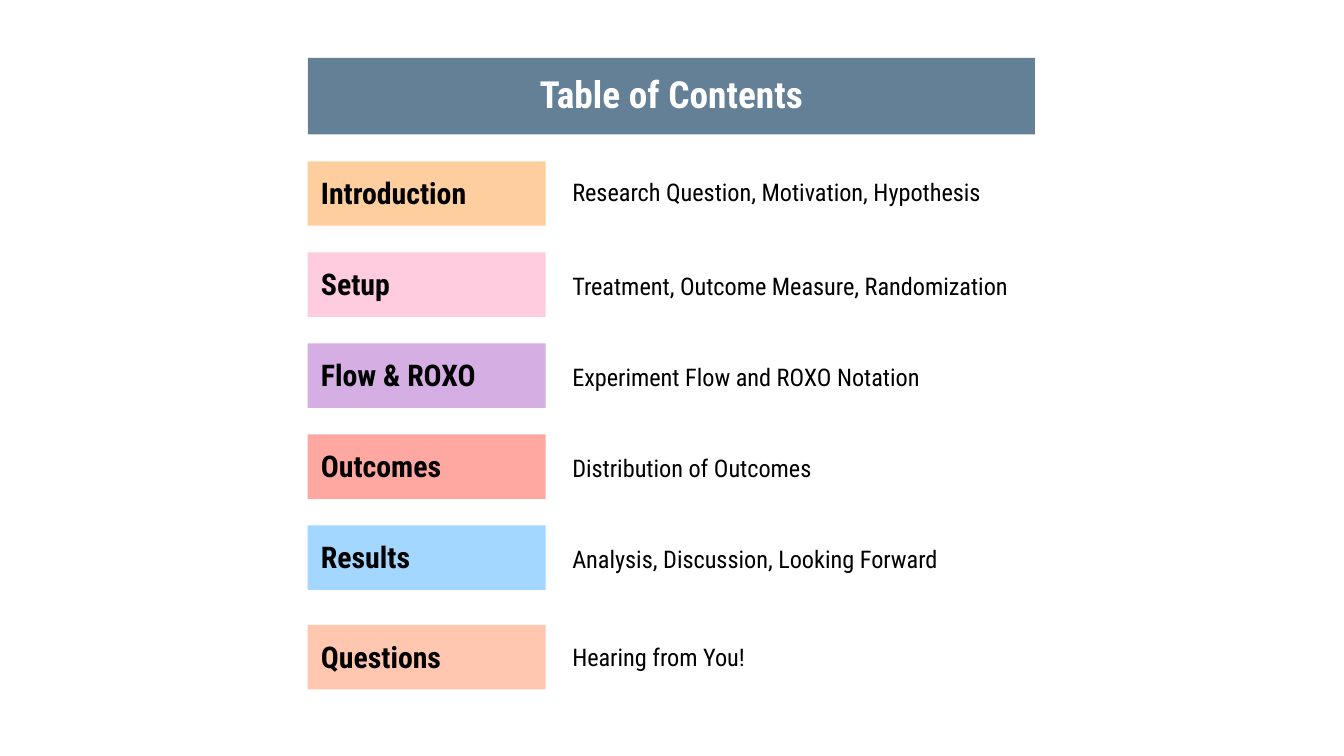
from dataclasses import dataclass

from pptx import Presentation
from pptx.dml.color import RGBColor
from pptx.enum import shapes, text
from pptx.slide import Slide
from pptx.text.text import TextFrame
from pptx.util import Inches, Pt

FONT = "Roboto Condensed"
COLORS = {
    "banner": "638097",
    "white": "FFFFFF",
    "black": "000000",
    "orange": "FFCE9E",
    "pink": "FFCBDE",
    "purple": "D5AEE4",
    "red": "FFA7A1",
    "blue": "A3D7FF",
    "peach": "FFC7AF",
}

LEFT = 2.29
LABEL_WIDTH, LABEL_HEIGHT = 1.77, 0.48
DETAIL_LEFT, DETAIL_HEIGHT = 4.16, 0.4
FIRST_TOP, FIFTH_TOP, QUESTIONS_TOP = 1.2, 3.91, 4.65
PITCH = (FIFTH_TOP - FIRST_TOP) / 4


@dataclass
class Section:
    label: str
    detail: str
    color: str
    detail_drop: float = 0.04
    detail_width: float = 4.25


SECTIONS = [
    Section("Introduction", "Research Question, Motivation, Hypothesis", "orange", 0.02, 3.98),
    Section("Setup", "Treatment, Outcome Measure, Randomization", "pink"),
    Section("Flow & ROXO", "Experiment Flow and ROXO Notation", "purple"),
    Section("Outcomes", "Distribution of Outcomes", "red"),
    Section("Results", "Analysis, Discussion, Looking Forward", "blue"),
    Section("Questions", "Hearing from You!", "peach", 0.03),
]


def rgb(name: str) -> RGBColor:
    return RGBColor.from_string(COLORS[name])


def write(
    frame: TextFrame,
    words: str,
    size: int,
    color: str = "black",
    bold: bool = False,
    align: text.PP_ALIGN = text.PP_ALIGN.LEFT,
) -> None:
    frame.word_wrap = True
    frame.auto_size = text.MSO_AUTO_SIZE.NONE
    frame.vertical_anchor = text.MSO_ANCHOR.TOP
    frame.margin_left = frame.margin_right = Inches(0.1)
    frame.margin_top = frame.margin_bottom = Inches(0.1)
    paragraph = frame.paragraphs[0]
    paragraph.text = words
    paragraph.alignment = align
    paragraph.font.name = FONT
    paragraph.font.size = Pt(size)
    paragraph.font.bold = bold
    paragraph.font.color.rgb = rgb(color)


def add_title(page: Slide) -> None:
    title = page.shapes.title
    title.left, title.top = Inches(LEFT), Inches(0.43)
    title.width, title.height = Inches(5.41), Inches(0.57)
    title.fill.solid()
    title.fill.fore_color.rgb = rgb("banner")
    write(title.text_frame, "Table of Contents", 20, "white", True, text.PP_ALIGN.CENTER)


def add_section(page: Slide, section: Section, top: float) -> None:
    label = page.shapes.add_shape(
        shapes.MSO_SHAPE.RECTANGLE,
        Inches(LEFT), Inches(top), Inches(LABEL_WIDTH), Inches(LABEL_HEIGHT),
    )
    label.shadow.inherit = False
    label.fill.solid()
    label.fill.fore_color.rgb = rgb(section.color)
    label.line.fill.background()
    write(label.text_frame, section.label, 16, bold=True)

    detail = page.shapes.add_textbox(
        Inches(DETAIL_LEFT), Inches(top + section.detail_drop),
        Inches(section.detail_width), Inches(DETAIL_HEIGHT),
    )
    write(detail.text_frame, section.detail, 13)


def main() -> None:
    deck = Presentation()
    deck.slide_width = Inches(10)
    deck.slide_height = Inches(10 * 9 / 16)
    page = deck.slides.add_slide(deck.slide_layouts.get_by_name("Title Only"))
    add_title(page)
    tops = [FIRST_TOP + PITCH * row for row in range(5)] + [QUESTIONS_TOP]
    for section, top in zip(SECTIONS, tops):
        add_section(page, section, top)
    deck.save("out.pptx")


if __name__ == "__main__":
    main()
